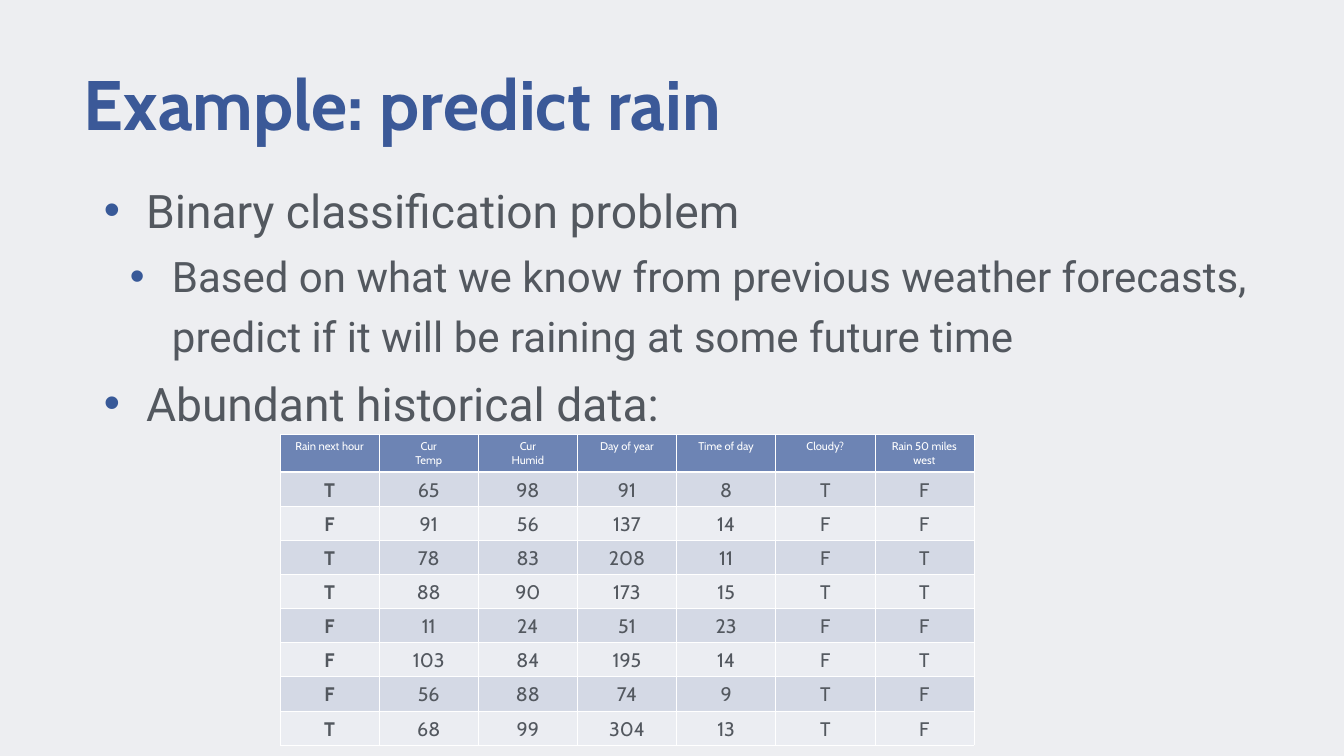
from dataclasses import dataclass

from lxml import etree
from pptx import Presentation
from pptx.dml.color import RGBColor
from pptx.enum.text import MSO_ANCHOR, MSO_AUTO_SIZE, PP_ALIGN
from pptx.oxml.ns import qn
from pptx.util import Emu, Pt

LEFT, CENTER = PP_ALIGN.LEFT, PP_ALIGN.CENTER
TOP, MIDDLE = MSO_ANCHOR.TOP, MSO_ANCHOR.MIDDLE
NO_AUTOFIT = MSO_AUTO_SIZE.NONE
EMU_PER_PIXEL = 914400 / 50.4


@dataclass(frozen=True)
class Theme:
    """Colours, fonts and type sizes of the slide."""
    background: str = "EDEEF1"
    title: str = "3B5998"
    bullet: str = "385998"
    text: str = "53585F"
    white: str = "FFFFFF"
    header: str = "6D84B4"
    bands: tuple = ("D4D9E5", "EBEDF2")
    heading_font: str = "Cabin"
    body_font: str = "Roboto"
    title_size: int = 100
    body_sizes: tuple = (66, 60)
    header_size: int = 16
    cell_size: int = 28


THEME = Theme()
BULLETS = [
    (0, "Binary classification problem"),
    (1, "Based on what we know from previous weather forecasts, "
        "predict if it will be raining at some future time"),
    (0, "Abundant historical data:"),
]
BULLET_INDENTS = (62, 88)
BULLET_HANG = 42
WEATHER = [
    ("Rain next hour", "Cur\vTemp", "Cur\vHumid", "Day of year",
     "Time of day", "Cloudy?", "Rain 50 miles west"),
    ("T", "65", "98", "91", "8", "T", "F"),
    ("F", "91", "56", "137", "14", "F", "F"),
    ("T", "78", "83", "208", "11", "F", "T"),
    ("T", "88", "90", "173", "15", "T", "T"),
    ("F", "11", "24", "51", "23", "F", "F"),
    ("F", "103", "84", "195", "14", "F", "T"),
    ("F", "56", "88", "74", "9", "T", "F"),
    ("T", "68", "99", "304", "13", "T", "F"),
]


def px(pixels):
    """Turn pixels into EMU."""
    return Emu(round(pixels * EMU_PER_PIXEL))


def write(para, text, *, font, size, color, bold=False, align=LEFT, spacing=1.0, before=0):
    """Fill a paragraph with formatted text."""
    para.text = text
    para.alignment = align
    para.line_spacing = spacing
    para.space_before = Pt(before)
    for span in para.runs:
        span.font.name = font
        span.font.size = Pt(size)
        span.font.bold = bold
        span.font.color.rgb = RGBColor.from_string(color)


def place(box, left, top, width, height, anchor):
    """Move a placeholder and clear its insets."""
    box.left, box.top, box.width, box.height = map(px, (left, top, width, height))
    frame = box.text_frame
    frame.margin_left = frame.margin_top = frame.margin_right = frame.margin_bottom = 0
    frame.word_wrap = True
    frame.auto_size = NO_AUTOFIT
    frame.vertical_anchor = anchor
    return frame


def add_bullet(para, level):
    """Give a paragraph its level, hanging indent and coloured bullet."""
    para.level = level
    properties = para._p.get_or_add_pPr()
    properties.set("marL", str(px(BULLET_INDENTS[level])))
    properties.set("indent", str(-px(BULLET_HANG)))
    color = etree.SubElement(properties, qn("a:buClr"))
    etree.SubElement(color, qn("a:srgbClr"), val=THEME.bullet)
    etree.SubElement(properties, qn("a:buFont"), typeface="Arial")
    etree.SubElement(properties, qn("a:buChar"), char="•")


def fill_list(frame, items):
    """Write the bulleted list."""
    for index, (level, text) in enumerate(items):
        para = frame.add_paragraph() if index else frame.paragraphs[0]
        write(para, text, font=THEME.body_font, size=THEME.body_sizes[level],
              color=THEME.text, spacing=1.2, before=4)
        add_bullet(para, level)


def add_borders(cell, bottom):
    """Draw white cell borders with the given bottom width in points."""
    properties = cell._tc.get_or_add_tcPr()
    for side, width in (("L", 1), ("R", 1), ("T", 1), ("B", bottom)):
        line = etree.SubElement(properties, qn(f"a:ln{side}"), w=str(Pt(width)))
        fill = etree.SubElement(line, qn("a:solidFill"))
        etree.SubElement(fill, qn("a:srgbClr"), val=THEME.white)


def style_cell(cell, text, row, column):
    """Write and colour one table cell."""
    is_header = row == 0
    cell.margin_left = cell.margin_right = px(8.5)
    cell.margin_top = cell.margin_bottom = px(4)
    cell.vertical_anchor = TOP
    add_borders(cell, 3 if is_header else 1)
    cell.fill.solid()
    fill = THEME.header if is_header else THEME.bands[(row - 1) % 2]
    cell.fill.fore_color.rgb = RGBColor.from_string(fill)
    write(cell.text_frame.paragraphs[0], text, font=THEME.heading_font,
          size=THEME.header_size if is_header else THEME.cell_size,
          color=THEME.white if is_header else THEME.text,
          bold=not is_header and column == 0, align=CENTER, spacing=1.1)


def add_table(page, rows, left, top, width, height):
    """Add the table of weather records."""
    frame = page.shapes.add_table(len(rows), len(rows[0]), *map(px, (left, top, width, height)))
    table = frame.table
    table.horz_banding = False
    for row, values in enumerate(rows):
        table.rows[row].height = px(25 if row else 27)
        for column, text in enumerate(values):
            style_cell(table.cell(row, column), text, row, column)
    frame.height = px(height)


def main():
    """Build the slide and save it."""
    deck = Presentation()
    deck.slide_width, deck.slide_height = px(1344), px(756)
    page = deck.slides.add_slide(deck.slide_layouts[1])
    page.background.fill.solid()
    page.background.fill.fore_color.rgb = RGBColor.from_string(THEME.background)
    title, body = page.placeholders
    title_frame = place(title, 84, 57, 1176, 101, MIDDLE)
    write(title_frame.paragraphs[0], "Example: predict rain", font=THEME.heading_font,
          size=THEME.title_size, color=THEME.title, bold=True, spacing=0.9)
    fill_list(place(body, 84, 171, 1176, 525, TOP), BULLETS)
    add_table(page, WEATHER, 280, 434, 694, 292)
    deck.save("out.pptx")


main()
